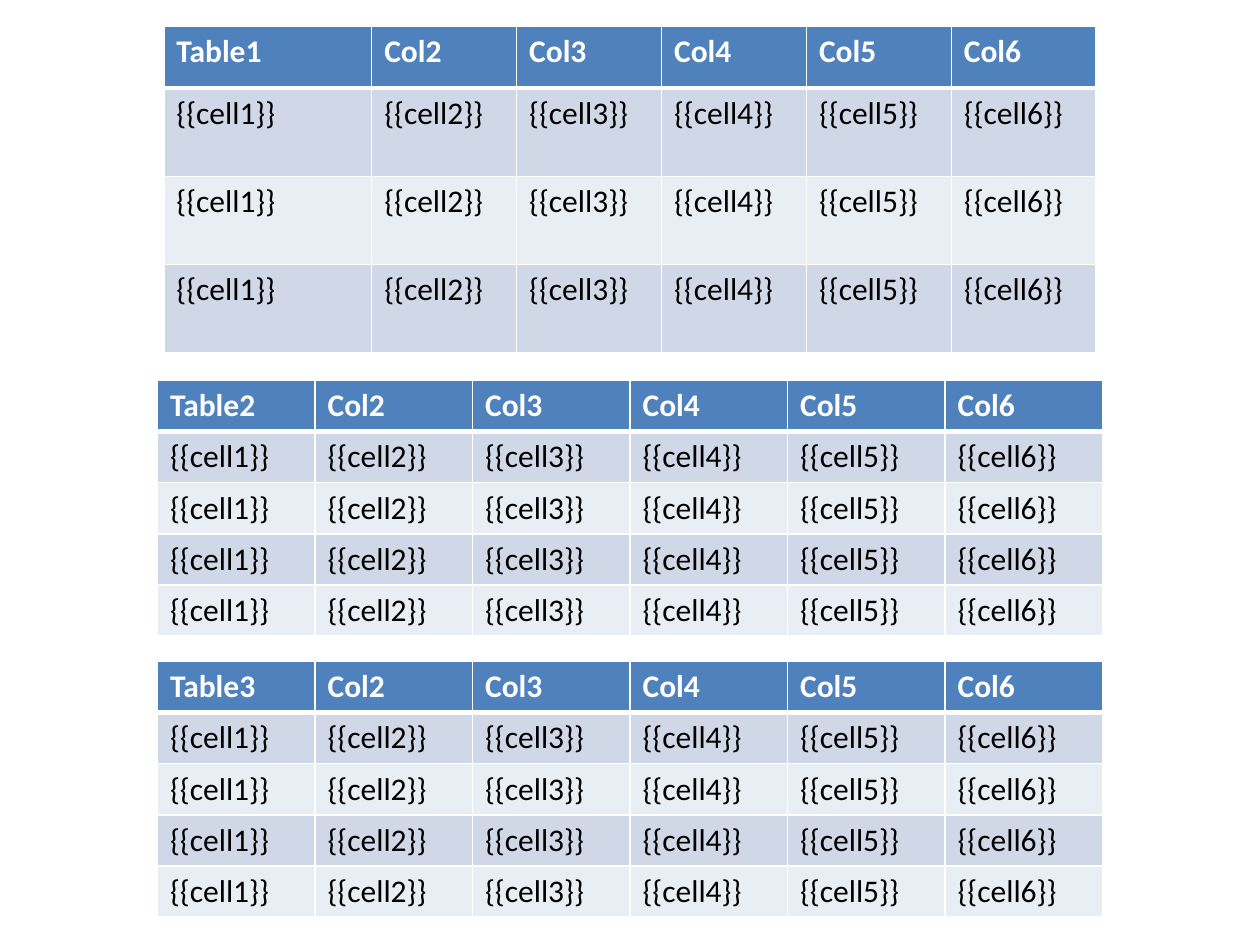
from lxml import etree
from pptx import Presentation
from pptx.dml.color import RGBColor
from pptx.oxml import ns
from pptx.util import Inches, Pt

WHITE = RGBColor(0xFF, 0xFF, 0xFF)
BLACK = RGBColor(0x00, 0x00, 0x00)
HEADER_BLUE = RGBColor(0x4F, 0x81, 0xBD)
BANDS = (RGBColor(0xD0, 0xD8, 0xE8), RGBColor(0xE9, 0xED, 0xF4))
FONT = "Calibri"
COLUMN_COUNT = 6


def add_border(cell, side, width, color=WHITE):
    """Draw one side (L, R, T or B) of a cell as a solid line."""
    properties = cell._tc.get_or_add_tcPr()
    line = etree.SubElement(properties, ns.qn(f"a:ln{side}"), w=str(Pt(width)))
    fill = etree.SubElement(line, ns.qn("a:solidFill"))
    etree.SubElement(fill, ns.qn("a:srgbClr"), val=str(color))


def write_text(cell, text, color=BLACK, bold=False, size=18):
    """Put formatted text in a cell."""
    run = cell.text_frame.paragraphs[0].add_run()
    run.text = text
    run.font.name = FONT
    run.font.size = Pt(size)
    run.font.bold = bold
    run.font.color.rgb = color


def format_cell(cell, row):
    """Give a cell its borders and fill according to its row."""
    widths = {"L": 1, "R": 1, "T": 3 if row == 1 else 1, "B": 3 if row == 0 else 1}
    for side, width in widths.items():
        add_border(cell, side, width)
    cell.fill.solid()
    cell.fill.fore_color.rgb = BANDS[(row - 1) % 2] if row else HEADER_BLUE


def add_placeholder_table(slide, title, left, top, columns, rows):
    """Add a banded table with a header row and placeholder cells."""
    shape = slide.shapes.add_table(len(rows), len(columns), Inches(left), Inches(top),
                                   Inches(sum(columns)), Inches(sum(rows)))
    table = shape.table
    for column, column_width in zip(table.columns, columns):
        column.width = Inches(column_width)
    for row, row_height in zip(table.rows, rows):
        row.height = Inches(row_height)

    for row in range(len(rows)):
        for column in range(len(columns)):
            cell = table.cell(row, column)
            format_cell(cell, row)
            if row == 0:
                header = f"Col{column + 1}" if column else title
                write_text(cell, header, color=WHITE, bold=True)
            else:
                write_text(cell, f"{{{{cell{column + 1}}}}}")


def main():
    """Build the slide with its three tables."""
    presentation = Presentation()
    presentation.slide_width, presentation.slide_height = Inches(10), Inches(7.5)
    slide = presentation.slides.add_slide(presentation.slide_layouts[6])

    add_placeholder_table(slide, "Table1", 1.3, 0.21,
                          columns=[1.65] + [1.15] * (COLUMN_COUNT - 1),
                          rows=[0.49] + [0.7] * 3)
    for title, top in (("Table2", 3.02), ("Table3", 5.25)):
        add_placeholder_table(slide, title, 1.25, top,
                              columns=[1.25] * COLUMN_COUNT, rows=[0.4] * 5)

    presentation.save("out.pptx")


main()
